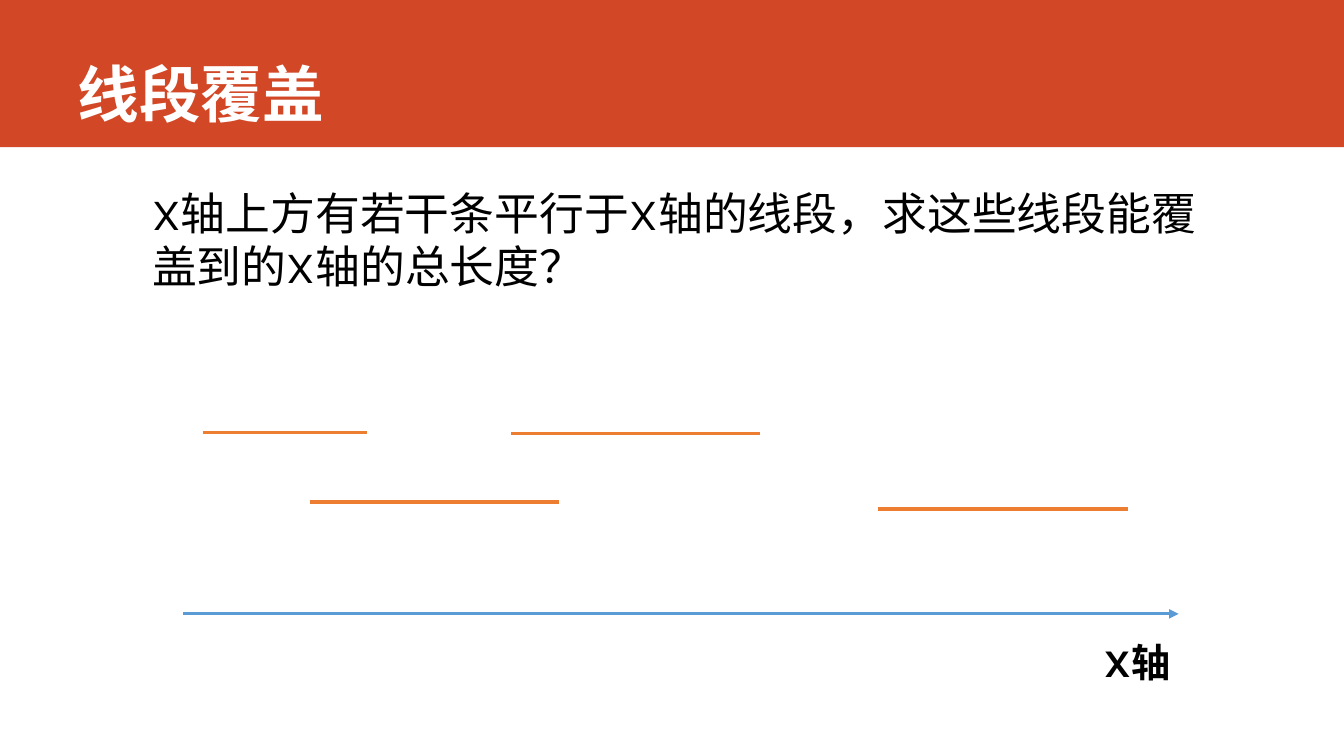
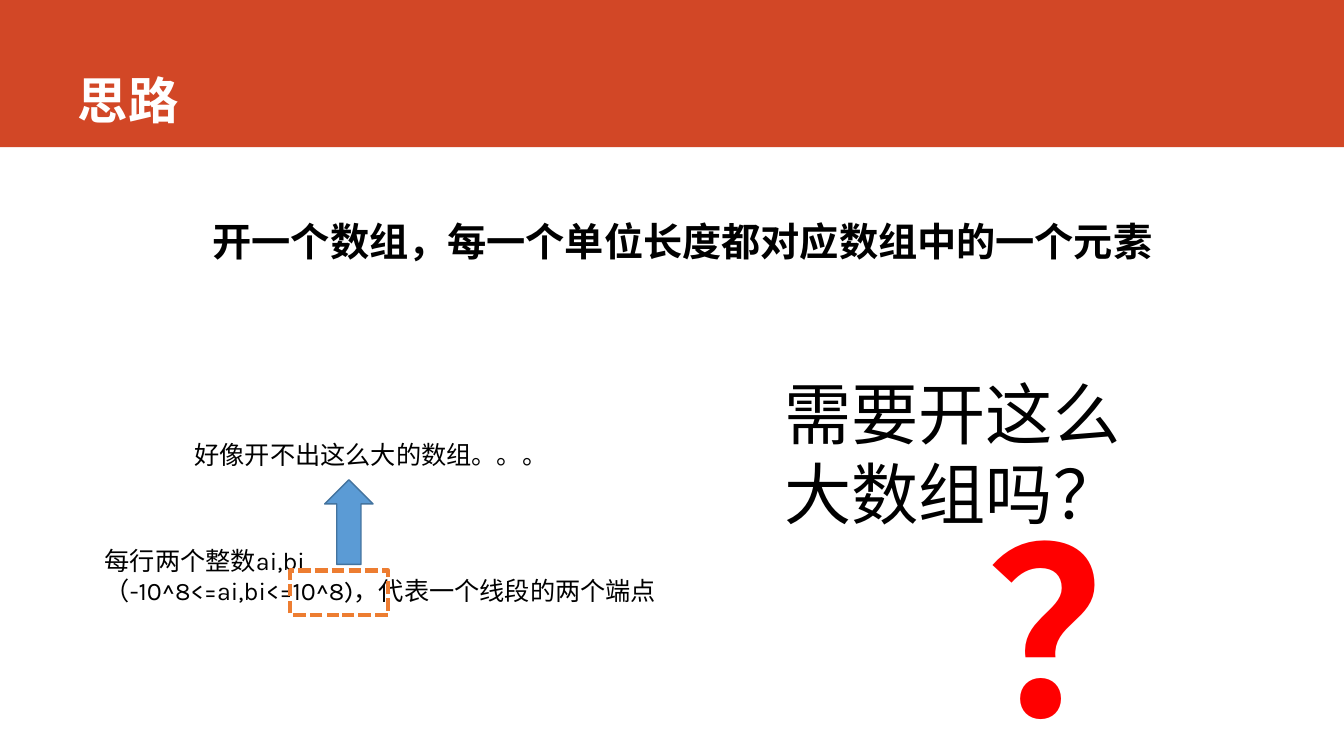
from lxml.etree import SubElement
from pptx import Presentation
from pptx.dml.color import RGBColor
from pptx.enum.dml import MSO_LINE
from pptx.enum.lang import MSO_LANGUAGE_ID
from pptx.enum.shapes import MSO_CONNECTOR, MSO_SHAPE
from pptx.enum.text import MSO_ANCHOR, MSO_AUTO_SIZE, PP_ALIGN
from pptx.oxml.ns import qn
from pptx.util import Inches, Pt

BAND_RED = RGBColor(0xD2, 0x47, 0x26)
WHITE = RGBColor(0xFF, 0xFF, 0xFF)
BLACK = RGBColor(0x00, 0x00, 0x00)
RED = RGBColor(0xFF, 0x00, 0x00)
BLUE = RGBColor(0x5B, 0x9B, 0xD5)
DARK_BLUE = RGBColor(0x43, 0x73, 0x9E)
ORANGE = RGBColor(0xED, 0x7D, 0x31)
LATIN_FONT = "Karla"
CJK_FONT = "Noto Sans CJK SC"


def style_run(r, size, color=BLACK, bold=False, name=LATIN_FONT):
    """Format a run and set its Chinese font."""
    formats = {"size": Pt(size), "bold": bold, "name": name,
               "language_id": MSO_LANGUAGE_ID.SIMPLIFIED_CHINESE}
    for attribute, value in formats.items():
        setattr(r.font, attribute, value)
    r.font.color.rgb = color
    SubElement(r.font._element, qn("a:ea"), typeface=CJK_FONT)


def add_shape(s, kind, box, fill=None, line=None, width=1, dash=None):
    """Add a preset shape with an optional fill and outline."""
    sp = s.shapes.add_shape(kind, *map(Inches, box))
    sp.shadow.inherit = False
    if fill is None:
        sp.fill.background()
    else:
        sp.fill.solid()
        sp.fill.fore_color.rgb = fill
    if line is None:
        sp.line.fill.background()
    else:
        sp.line.color.rgb = line
        sp.line.width = Pt(width)
        sp.line.dash_style = dash
    return sp


def add_line(s, left, right, y, color, arrow=False):
    """Add a horizontal line, with an arrowhead at its right end if asked."""
    line = s.shapes.add_connector(MSO_CONNECTOR.STRAIGHT,
                                  *map(Inches, (left, y, right, y)))
    line.line.color.rgb = color
    line.line.width = Pt(2.25)
    if arrow:
        SubElement(line.line._get_or_add_ln(), qn("a:tailEnd"), type="triangle")
    SubElement(line._element.spPr, qn("a:effectLst"))


def add_text(s, box, paragraphs, size, color=BLACK, bold=False):
    """Add a wrapping text box with one run per paragraph."""
    tf = s.shapes.add_textbox(*map(Inches, box)).text_frame
    tf.word_wrap = True
    tf.auto_size = MSO_AUTO_SIZE.SHAPE_TO_FIT_TEXT
    for i, text in enumerate(paragraphs):
        p = tf.add_paragraph() if i else tf.paragraphs[0]
        r = p.add_run()
        r.text = text
        style_run(r, size, color, bold)


def add_slide(prs, layout, title, size):
    """Add a slide with its title text."""
    s = prs.slides.add_slide(layout)
    p = s.shapes.title.text_frame.paragraphs[0]
    p.alignment = PP_ALIGN.LEFT
    r = p.add_run()
    r.text = title
    style_run(r, size, WHITE, True, CJK_FONT)
    return s


def set_up_layout(layout):
    """Place the title area on the layout."""
    title = layout.placeholders[0]
    title.left, title.top, title.width, title.height = map(
        Inches, (0.67, 0, 11.75, 1.34))
    tf = title.text_frame
    tf.vertical_anchor = MSO_ANCHOR.BOTTOM
    tf.auto_size = MSO_AUTO_SIZE.NONE


def move_to_layout(sp, layout):
    """Move a shape behind everything on the layout."""
    layout.shapes.element.insert(2, sp._element)


def build_problem(prs, layout):
    """Build the slide that states the problem."""
    s = add_slide(prs, layout, "线段覆盖", 44)
    band = add_shape(s, MSO_SHAPE.RECTANGLE, (0, 0, 13.33, 1.46), BAND_RED)
    move_to_layout(band, layout)
    add_text(s, (1.41, 1.79, 10.56, 1.18),
             ["X轴上方有若干条平行于X轴的线段，求这些线段能覆盖到的X轴的总长度？"], 32)
    add_line(s, 1.82, 11.69, 6.09, BLUE, arrow=True)
    segments = [(2.01, 3.64, 4.29), (3.07, 5.54, 4.98),
                (5.07, 7.54, 4.3), (8.71, 11.19, 5.05)]
    for left, right, y in segments:
        add_line(s, left, right, y, ORANGE)
    add_text(s, (10.86, 6.28, 0.87, 0.57), ["X轴"], 28, bold=True)


def build_idea(prs, layout):
    """Build the slide that discusses the array idea."""
    s = add_slide(prs, layout, "思路", 36)
    add_text(s, (2.01, 2.11, 9.85, 0.57),
             ["开一个数组，每一个单位长度都对应数组中的一个元素"], 28, bold=True)
    add_text(s, (9.68, 4.76, 2.33, 2.89), ["？"], 166, RED, True)
    add_text(s, (7.68, 3.64, 3.75, 1.72), ["需要开这么大数组吗？"], 48)
    add_text(s, (0.94, 5.36, 6.67, 0.71),
             ["每行两个整数ai,bi", "（-10^8<=ai,bi<=10^8)，代表一个线段的两个端点"], 18)
    add_shape(s, MSO_SHAPE.RECTANGLE, (2.88, 5.66, 0.97, 0.44),
              line=ORANGE, width=3, dash=MSO_LINE.SQUARE_DOT)
    add_shape(s, MSO_SHAPE.UP_ARROW, (3.22, 4.76, 0.48, 0.84), BLUE, DARK_BLUE)
    add_text(s, (1.83, 4.31, 3.75, 0.4), ["好像开不出这么大的数组。。。"], 18)


def main():
    """Build and save the presentation."""
    prs = Presentation()
    prs.slide_width, prs.slide_height = Inches(13.33), Inches(7.5)
    layout = prs.slide_layouts[5]
    set_up_layout(layout)
    build_problem(prs, layout)
    build_idea(prs, layout)
    prs.save("out.pptx")


if __name__ == "__main__":
    main()
